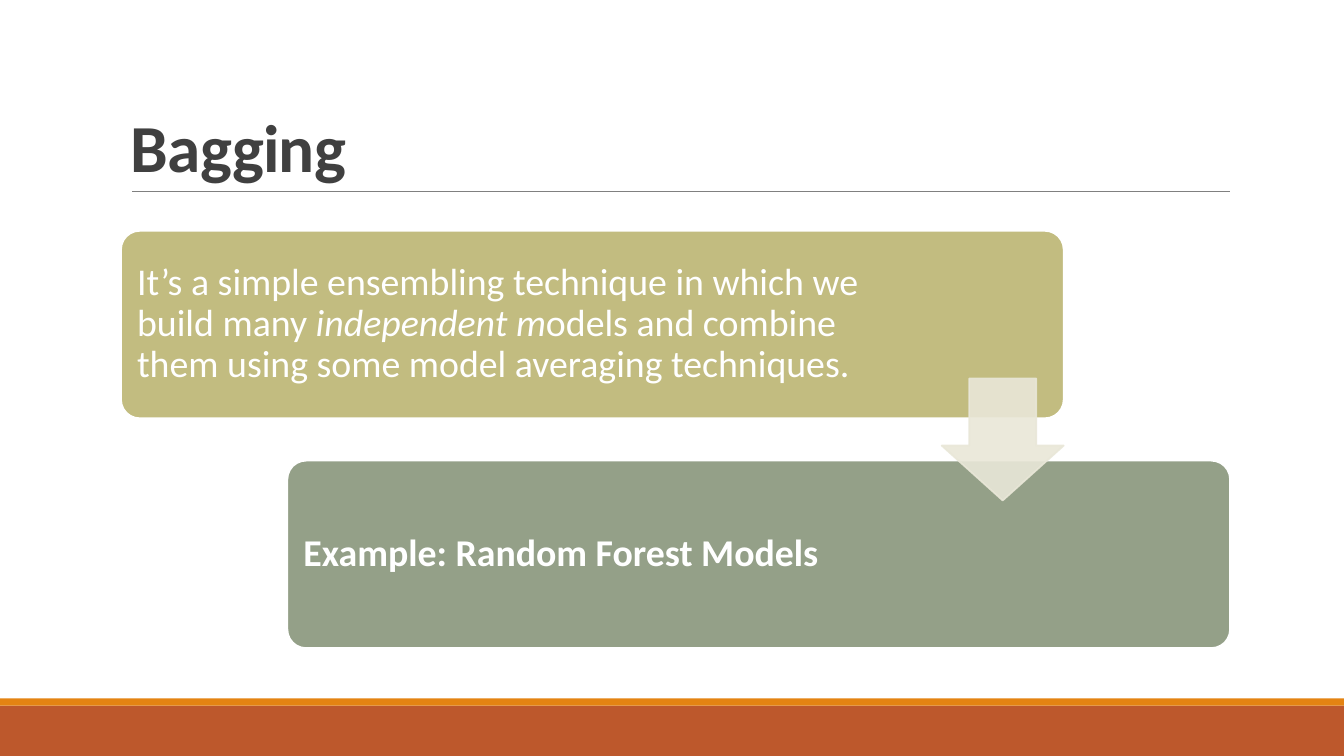
from lxml.etree import SubElement
from pptx import Presentation
from pptx.dml.color import RGBColor
from pptx.enum.shapes import MSO_CONNECTOR, MSO_SHAPE
from pptx.enum.text import MSO_ANCHOR, PP_ALIGN
from pptx.oxml.ns import qn
from pptx.util import Inches, Pt

WIDE, HIGH = 13.33, 7.5
LEFT, SPAN = 1.2, 11
CARD_W, CARD_H = 0.85 * SPAN, 1.86
CARD_TOP, STEP = 2.29, 2.28
PAD = 0.05


def paint(color, code):
    color.rgb = RGBColor.from_string(code)


def fade(shape, share):
    """Set the opacity of a shape's fill and line, in percent."""
    for node in list(shape._element.spPr.iter(qn("a:srgbClr"))):
        SubElement(node, qn("a:alpha"), val=str(share * 1000))


def block(slide, kind, box, fill, line=None):
    shape = slide.shapes.add_shape(kind, *map(Inches, box))
    shape.shadow.inherit = False
    shape.fill.solid()
    paint(shape.fill.fore_color, fill)
    if line:
        paint(shape.line.color, line)
        shape.line.width = Pt(1.25)
    else:
        shape.line.fill.background()
    return shape


def write(slide, box, parts, size, code, anchor, space):
    """Add one paragraph made of (text, bold, italic) parts."""
    label = slide.shapes.add_textbox(*map(Inches, box))
    frame = label.text_frame
    frame.word_wrap = True
    frame.vertical_anchor = anchor
    para = frame.paragraphs[0]
    para.alignment = PP_ALIGN.LEFT
    para.line_spacing = space
    for text, bold, slant in parts:
        run = para.add_run()
        run.text = text
        font = run.font
        font.name, font.size = "Calibri", Pt(size)
        font.bold, font.italic = bold, slant
        paint(font.color, code)
    return frame


def footer(slide, top):
    block(slide, MSO_SHAPE.RECTANGLE, (0, top, WIDE, HIGH - top), "BD582C")
    block(slide, MSO_SHAPE.RECTANGLE, (0, top - 0.07, WIDE, 0.07), "E48312")


def header(slide, left, top, width, height):
    base = top + height
    ends = left + 0.11, base, left + width, base
    rule = slide.shapes.add_connector(MSO_CONNECTOR.STRAIGHT, *map(Inches, ends))
    paint(rule.line.color, "808080")
    rule.line.width = Pt(0.5)
    SubElement(rule._element.spPr, qn("a:effectLst"))
    frame = write(slide, (left, top, width, height), [("Bagging", True, False)],
                  48, "404040", MSO_ANCHOR.BOTTOM, 0.85)
    frame.paragraphs[0].runs[0].font._element.set("spc", "-50")


def card(slide, left, top, fill, wide, parts):
    shape = block(slide, MSO_SHAPE.ROUNDED_RECTANGLE,
                  (left, top, CARD_W, CARD_H), fill, "FFFFFF")
    shape.adjustments[0] = 0.1
    inner = left + PAD, top + PAD, wide, CARD_H - 2 * PAD
    frame = write(slide, inner, parts, 27, "FFFFFF", MSO_ANCHOR.MIDDLE, 0.9)
    frame.margin_left = frame.margin_right = Inches(0.11)
    frame.margin_top = frame.margin_bottom = Inches(0.11)


def arrow(slide, right, middle, size):
    shape = block(slide, MSO_SHAPE.DOWN_ARROW,
                  (right - size, middle - size / 2, size, size), "E9E7D8", "E9E7D8")
    shape.adjustments[0] = 0.45
    shape.adjustments[1] = 0.55
    # The head takes 45% of the height, the shaft 55% of the width.
    shape.adjustments[0], shape.adjustments[1] = 0.55, 0.45
    fade(shape, 90)


def flow(slide, left, top):
    """Two stepped cards joined by an arrow."""
    card(slide, left, top, "C2BC80", 7.42, [
        ("It’s a simple ensembling technique in which we build many ", False, False),
        ("independent m", False, True),
        ("odels and combine them using some model averaging techniques.", False, False)])
    card(slide, left + SPAN - CARD_W, top + STEP, "94A088", 6.38,
         [("Example: Random Forest Models", True, False)])
    arrow(slide, left + CARD_W, top + (STEP + CARD_H) / 2, 1.21)


def main():
    deck = Presentation()
    deck.slide_width, deck.slide_height = Inches(WIDE), Inches(HIGH)
    slide = deck.slides.add_slide(deck.slide_layouts[6])
    footer(slide, 7)
    header(slide, LEFT, 0.31, SPAN, 1.59)
    flow(slide, LEFT, CARD_TOP)
    deck.save("out.pptx")


if __name__ == "__main__":
    main()
